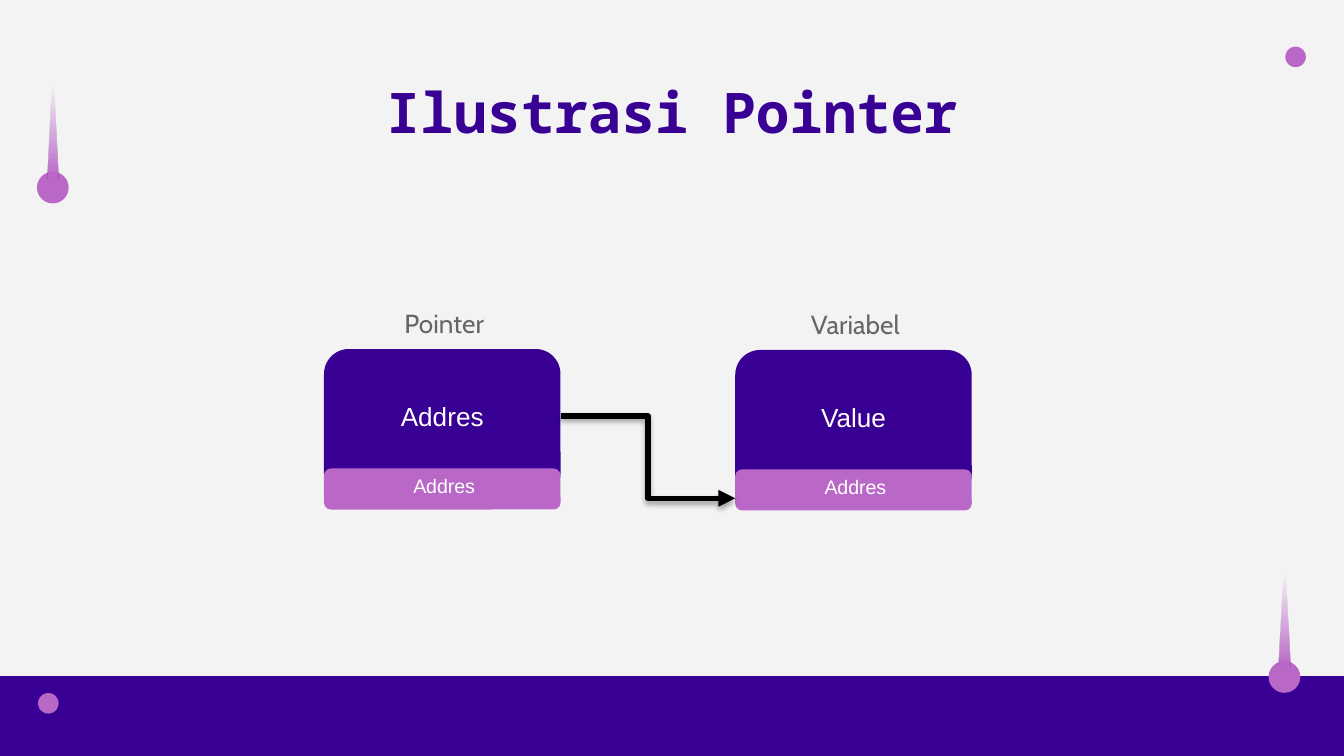
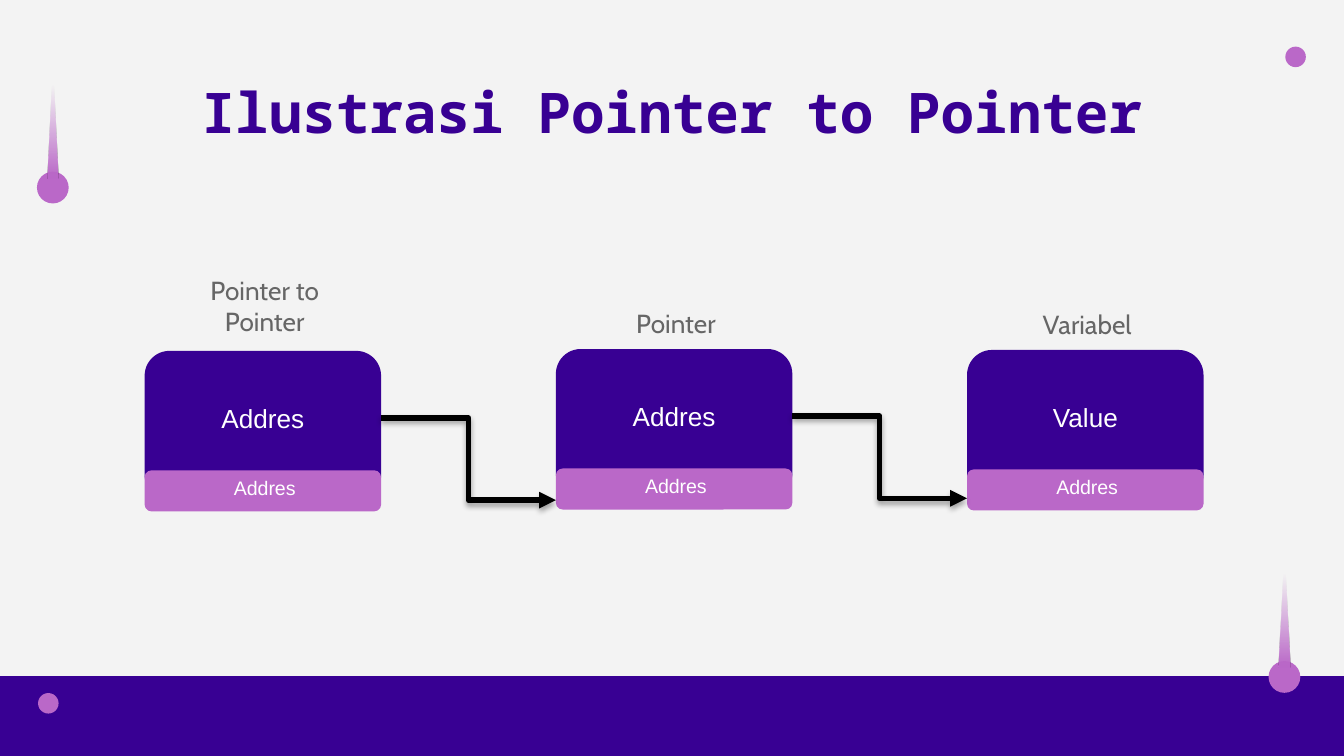
from dataclasses import dataclass

import pptx
import pptx.dml.color
import pptx.enum.shapes
import pptx.enum.text
import pptx.oxml
import pptx.oxml.ns
import pptx.util
from pptx.util import Pt

SHAPE = pptx.enum.shapes.MSO_SHAPE
ANCHOR = pptx.enum.text.MSO_ANCHOR


@dataclass(frozen=True)
class Theme:
    """Colours, fonts and type sizes of the deck."""
    paper: str = "F3F3F3"
    primary: str = "380093"
    accent: str = "BA68C8"
    caption: str = "666666"
    white: str = "FFFFFF"
    black: str = "000000"
    title_font: str = "Noto Sans Mono"
    caption_font: str = "Cabin"
    label_font: str = "Arial"
    title_size: float = 30
    text_size: float = 14
    small_size: float = 10.5


THEME = Theme()
SLIDE_W, SLIDE_H = 720, 405
CARD_W, CARD_H, CARD_STEP = 126.7, 80, 220.3
STRIP_TOP, STRIP_H = 64, 22
LINK_TOP, LINK_DROP = 36, 44


def rgb(color):
    """Turn a hex string into a colour."""
    return pptx.dml.color.RGBColor.from_string(color)


def write(sp, text, font, size, color, anchor=ANCHOR.MIDDLE, bold=False):
    """Set centred, formatted text in a shape."""
    tf = sp.text_frame
    tf.word_wrap = True
    tf.auto_size = pptx.enum.text.MSO_AUTO_SIZE.NONE
    tf.vertical_anchor = anchor
    tf.margin_left = tf.margin_right = tf.margin_top = tf.margin_bottom = Pt(7.2)
    tf.text = text
    p = tf.paragraphs[0]
    p.alignment = pptx.enum.text.PP_ALIGN.CENTER
    f = p.runs[0].font
    f.name, f.size, f.bold = font, Pt(size), bold
    f.color.rgb = rgb(color)


def add_label(s, x, y, w, h, text, font, size, color):
    """Add a text box."""
    sp = s.shapes.add_textbox(Pt(x), Pt(y), Pt(w), Pt(h))
    write(sp, text, font, size, color)


def add_block(s, kind, x, y, w, h, color):
    """Add a flat shape without outline."""
    sp = s.shapes.add_shape(kind, Pt(x), Pt(y), Pt(w), Pt(h))
    sp.shadow.inherit = False
    sp.fill.solid()
    sp.fill.fore_color.rgb = rgb(color)
    sp.line.fill.background()
    return sp


def add_drop(s, x, y):
    """Add a ball with a tail that fades upwards."""
    add_block(s, SHAPE.OVAL, x, y + 59, 17, 17, THEME.accent)
    tail = add_block(s, SHAPE.ISOSCELES_TRIANGLE, x + 5.6, y, 5.8, 62.6, THEME.accent)
    tail.fill.gradient()
    tail.fill.gradient_angle = 90
    for stop, position in zip(tail.fill.gradient_stops, (0, 0.8)):
        stop.position = position
        stop.color.rgb = rgb(THEME.accent)
    qn = pptx.oxml.ns.qn
    faded = tail.element.findall(".//" + qn("a:gs"))[-1].find(qn("a:srgbClr"))
    faded.append(pptx.oxml.parse_xml(f'<a:alpha {pptx.oxml.ns.nsdecls("a")} val="0"/>'))


def add_frame(s):
    """Add the background, bottom band and corner ornaments."""
    s.background.fill.solid()
    s.background.fill.fore_color.rgb = rgb(THEME.paper)
    band = add_block(s, SHAPE.RECTANGLE, 0, 362.5, SLIDE_W, 42.5, THEME.primary)
    band.line.color.rgb = rgb(THEME.primary)
    band.line.width = Pt(0.75)
    for x, y in ((679.6, 295.2), (19.8, 33)):
        add_drop(s, x, y)
    for x, y in ((688.6, 25), (20.4, 371.3)):
        add_block(s, SHAPE.OVAL, x, y, 11, 11, THEME.accent)


def add_title(s, text):
    """Place and format the slide title."""
    sp = s.shapes.title
    sp.left, sp.top, sp.width, sp.height = Pt(56), Pt(42.5), Pt(608), Pt(42.5)
    write(sp, text, THEME.title_font, THEME.title_size, THEME.primary, ANCHOR.BOTTOM, True)


def add_cell(s, x, y, caption, content, caption_h):
    """Add a memory cell with its caption, content and address strip."""
    center = x + CARD_W / 2 + 1
    add_label(s, center - 51.5, y - 3 - caption_h, 103, caption_h, caption,
              THEME.caption_font, THEME.text_size, THEME.caption)
    add_block(s, SHAPE.ROUNDED_RECTANGLE, x, y, CARD_W, CARD_H, THEME.primary)
    add_label(s, center - 86, y + 18, 170, 36, content,
              THEME.label_font, THEME.text_size, THEME.white)
    add_block(s, SHAPE.ROUNDED_RECTANGLE, x, y + STRIP_TOP, CARD_W, STRIP_H, THEME.accent)
    add_label(s, center - 41, y + STRIP_TOP, 82, 18.7, "Addres",
              THEME.label_font, THEME.small_size, THEME.white)


def add_link(s, x, y):
    """Add the bent arrow from the cell at x, y to the next cell."""
    start, top = x + CARD_W, y + LINK_TOP
    line = s.shapes.add_connector(pptx.enum.shapes.MSO_CONNECTOR.ELBOW, Pt(start), Pt(top),
                                  Pt(x + CARD_STEP), Pt(top + LINK_DROP))
    line.line.color.rgb = rgb(THEME.black)
    line.line.width = Pt(3)
    ns = pptx.oxml.ns.nsdecls("a")
    props = line.element.spPr
    props.find(pptx.oxml.ns.qn("a:ln")).append(
        pptx.oxml.parse_xml(f'<a:tailEnd {ns} type="triangle"/>'))
    props.append(pptx.oxml.parse_xml(
        f'<a:effectLst {ns}><a:outerShdw blurRad="{Pt(3.1)}" dist="{Pt(1.8)}" dir="5400000" '
        f'rotWithShape="0"><a:srgbClr val="{THEME.black}"><a:alpha val="35000"/></a:srgbClr>'
        '</a:outerShdw></a:effectLst>'))


def add_diagram_slide(prs, title, left, cells):
    """Add a slide with a chain of linked memory cells."""
    s = prs.slides.add_slide(prs.slide_layouts[5])
    add_frame(s)
    add_title(s, title)
    for i, (y, *cell) in enumerate(cells):
        add_cell(s, left + i * CARD_STEP, y, *cell)
    for i, (y, *_) in enumerate(cells[:-1]):
        add_link(s, left + i * CARD_STEP, y)


def main():
    """Build the deck."""
    prs = pptx.Presentation()
    prs.slide_width, prs.slide_height = Pt(SLIDE_W), Pt(SLIDE_H)
    pair = [(187, "Pointer", "Addres", 21.6), (187.5, "Variabel", "Value", 21.6)]
    double = (188, "Pointer to Pointer", "Addres", 42.5)
    add_diagram_slide(prs, "Ilustrasi Pointer", 173.6, pair)
    add_diagram_slide(prs, "Ilustrasi Pointer to Pointer", 77.5, [double, *pair])
    prs.save("out.pptx")


if __name__ == "__main__":
    main()
